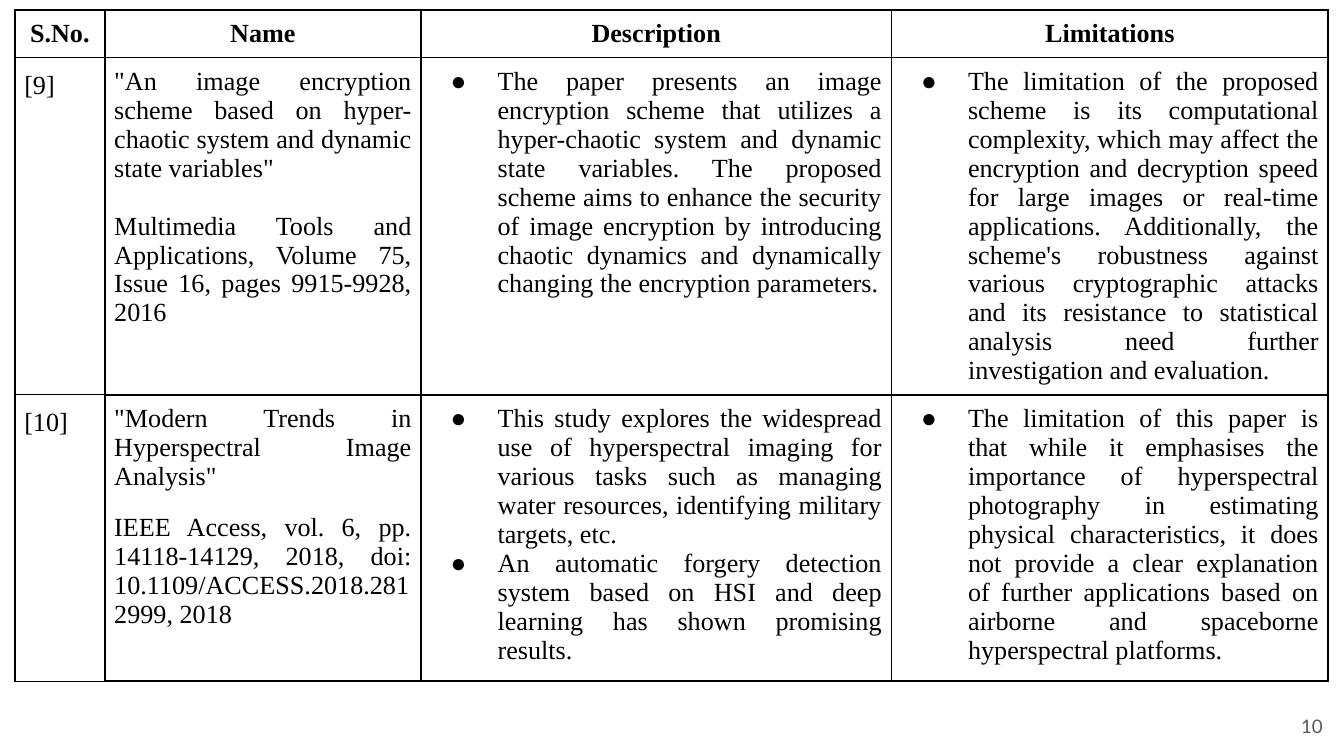
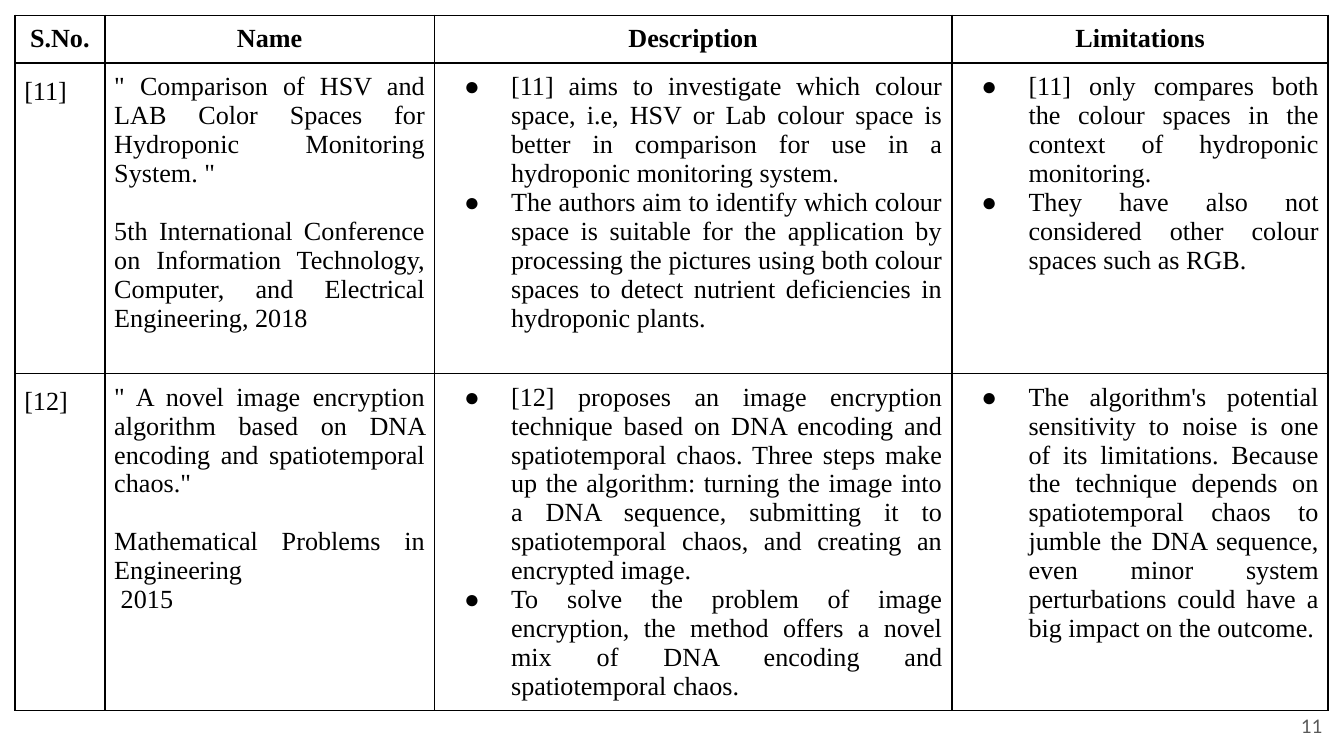
from dataclasses import dataclass

from lxml.etree import Element, SubElement
from pptx import Presentation
from pptx.dml.color import RGBColor
from pptx.enum.text import MSO_ANCHOR, PP_ALIGN
from pptx.oxml.ns import qn
from pptx.util import Pt


@dataclass(frozen=True)
class Theme:
    ink: str = "000000"
    grey: str = "595959"
    serif: str = "Times New Roman"
    sans: str = "Lato"
    body: float = 14
    small: float = 10
    thin: float = 0.75
    thick: float = 1
    pad: float = 5.04
    line: float = 15.5


THEME = Theme()
HEADS = ("S.No.", "Name", "Description", "Limitations")


def write(para, text, font=THEME.serif, size=THEME.body, color=THEME.ink,
          bold=False, align=PP_ALIGN.JUSTIFY, before=0, lead=Pt(THEME.line),
          bullet=False):
    para.alignment = align
    para.line_spacing = lead
    para.space_before = Pt(before)
    if bullet:
        props = para._p.get_or_add_pPr()
        props.set("marL", str(Pt(36)))
        props.set("indent", str(Pt(-25.2)))
        tint = SubElement(props, qn("a:buClr"))
        SubElement(tint, qn("a:srgbClr"), val=color)
        SubElement(props, qn("a:buFont"), typeface=font)
        SubElement(props, qn("a:buChar"), char="●")
    run = para.add_run()
    run.text = text
    run.font.name = font
    run.font.size = Pt(size)
    run.font.bold = bold
    run.font.color.rgb = RGBColor.from_string(color)


class Deck:
    def __init__(self, theme):
        self.theme = theme
        self.show = Presentation()
        self.show.slide_width, self.show.slide_height = Pt(720), Pt(405)
        self.slide = None

    def page(self, number):
        self.slide = self.show.slides.add_slide(self.show.slide_layouts[6])
        box = self.slide.shapes.add_textbox(Pt(672.5), Pt(373.6), Pt(43.2), Pt(31))
        frame = box.text_frame
        frame.word_wrap = True
        frame.vertical_anchor = MSO_ANCHOR.MIDDLE
        write(frame.paragraphs[0], str(number), font=self.theme.sans, lead=1.0,
              size=self.theme.small, color=self.theme.grey, align=PP_ALIGN.RIGHT)

    def edge(self, cell, row, col):
        thin, thick = self.theme.thin, self.theme.thick
        first = col == 0
        sides = {
            "L": thin if first and row else thick,
            "R": thick,
            "T": thin if first or row == 0 else thick,
            "B": thin if first else thick,
        }
        props = cell._tc.get_or_add_tcPr()
        for place, (side, width) in enumerate(sides.items()):
            line = Element(qn(f"a:ln{side}"), w=str(Pt(width)))
            fill = SubElement(line, qn("a:solidFill"))
            SubElement(fill, qn("a:srgbClr"), val=self.theme.ink)
            props.insert(place, line)

    def fill(self, cell, parts, gap=0, **form):
        cell.fill.background()
        pad = Pt(self.theme.pad)
        cell.margin_left = cell.margin_right = pad
        cell.margin_top = cell.margin_bottom = pad
        frame = cell.text_frame
        for order, text in enumerate(parts):
            para = frame.add_paragraph() if order else frame.paragraphs[0]
            write(para, text, before=gap if order == 1 else 0, **form)

    def table(self, top, widths, heights, papers):
        frame = self.slide.shapes.add_table(
            len(heights), len(widths), Pt(8), Pt(top),
            Pt(sum(widths)), Pt(sum(heights)))
        grid = frame.table
        grid.first_row = grid.horz_banding = False
        for col, width in zip(grid.columns, widths):
            col.width = Pt(width)
        for row, height in zip(grid.rows, heights):
            row.height = Pt(height)
        for col, head in enumerate(HEADS):
            self.fill(grid.cell(0, col), [head], bold=True, align=PP_ALIGN.CENTER)
        for row, (mark, name, gap, about, limits) in enumerate(papers, 1):
            self.fill(grid.cell(row, 0), [mark], lead=1.15)
            self.fill(grid.cell(row, 1), name, gap=gap)
            self.fill(grid.cell(row, 2), about, bullet=True)
            self.fill(grid.cell(row, 3), limits, bullet=True)
        for row in range(len(heights)):
            for col in range(len(widths)):
                self.edge(grid.cell(row, col), row, col)


FIRST = [
    ("[9]",
     ['"An image encryption scheme based on hyper-chaotic system and dynamic state variables"',
      "Multimedia Tools and Applications, Volume 75, Issue 16, pages 9915-9928, 2016"],
     THEME.line,
     ["The paper presents an image encryption scheme that utilizes a hyper-chaotic system "
      "and dynamic state variables. The proposed scheme aims to enhance the security of "
      "image encryption by introducing chaotic dynamics and dynamically changing the "
      "encryption parameters."],
     ["The limitation of the proposed scheme is its computational complexity, which may "
      "affect the encryption and decryption speed for large images or real-time "
      "applications. Additionally, the scheme's robustness against various cryptographic "
      "attacks and its resistance to statistical analysis need further investigation and "
      "evaluation."]),
    ("[10]",
     ['"Modern Trends in Hyperspectral Image Analysis"',
      "IEEE Access, vol. 6, pp. 14118-14129, 2018, doi: 10.1109/ACCESS.2018.2812999, 2018"],
     12,
     ["This study explores the widespread use of hyperspectral imaging for various tasks "
      "such as managing water resources, identifying military targets, etc.",
      "An automatic forgery detection system based on HSI and deep learning has shown "
      "promising results."],
     ["The limitation of this paper is that while it emphasises the importance of "
      "hyperspectral photography in estimating physical characteristics, it does not "
      "provide a clear explanation of further applications based on airborne and "
      "spaceborne hyperspectral platforms."]),
]

SECOND = [
    ("[11]",
     ['" Comparison of HSV and LAB Color Spaces for Hydroponic Monitoring System. "',
      "5th International Conference on Information Technology, Computer, and Electrical "
      "Engineering, 2018"],
     THEME.line,
     ["[11] aims to investigate which colour space, i.e, HSV or Lab colour space is better "
      "in comparison for use in a hydroponic monitoring system.",
      "The authors aim to identify which colour space is suitable for the application by "
      "processing the pictures using both colour spaces to detect nutrient deficiencies in "
      "hydroponic plants."],
     ["[11] only compares both the colour spaces in the context of hydroponic monitoring.",
      "They have also not considered other colour spaces such as RGB."]),
    ("[12]",
     ['" A novel image encryption algorithm based on DNA encoding and spatiotemporal chaos."',
      "Mathematical Problems in Engineering",
      " 2015"],
     THEME.line,
     ["[12] proposes an image encryption technique based on DNA encoding and spatiotemporal "
      "chaos. Three steps make up the algorithm: turning the image into a DNA sequence, "
      "submitting it to spatiotemporal chaos, and creating an encrypted image.",
      "To solve the problem of image encryption, the method offers a novel mix of DNA "
      "encoding and spatiotemporal chaos."],
     ["The algorithm's potential sensitivity to noise is one of its limitations. Because "
      "the technique depends on spatiotemporal chaos to jumble the DNA sequence, even minor "
      "system perturbations could have a big impact on the outcome."]),
]


def main():
    deck = Deck(THEME)
    deck.page(10)
    deck.table(5.3, (48.2, 169.4, 252, 234), (25.6, 180.6, 153.4), FIRST)
    deck.page(11)
    deck.table(8.2, (48.2, 176.6, 277.2, 201.6), (25.6, 166.3, 180.6), SECOND)
    deck.show.save("out.pptx")


if __name__ == "__main__":
    main()
